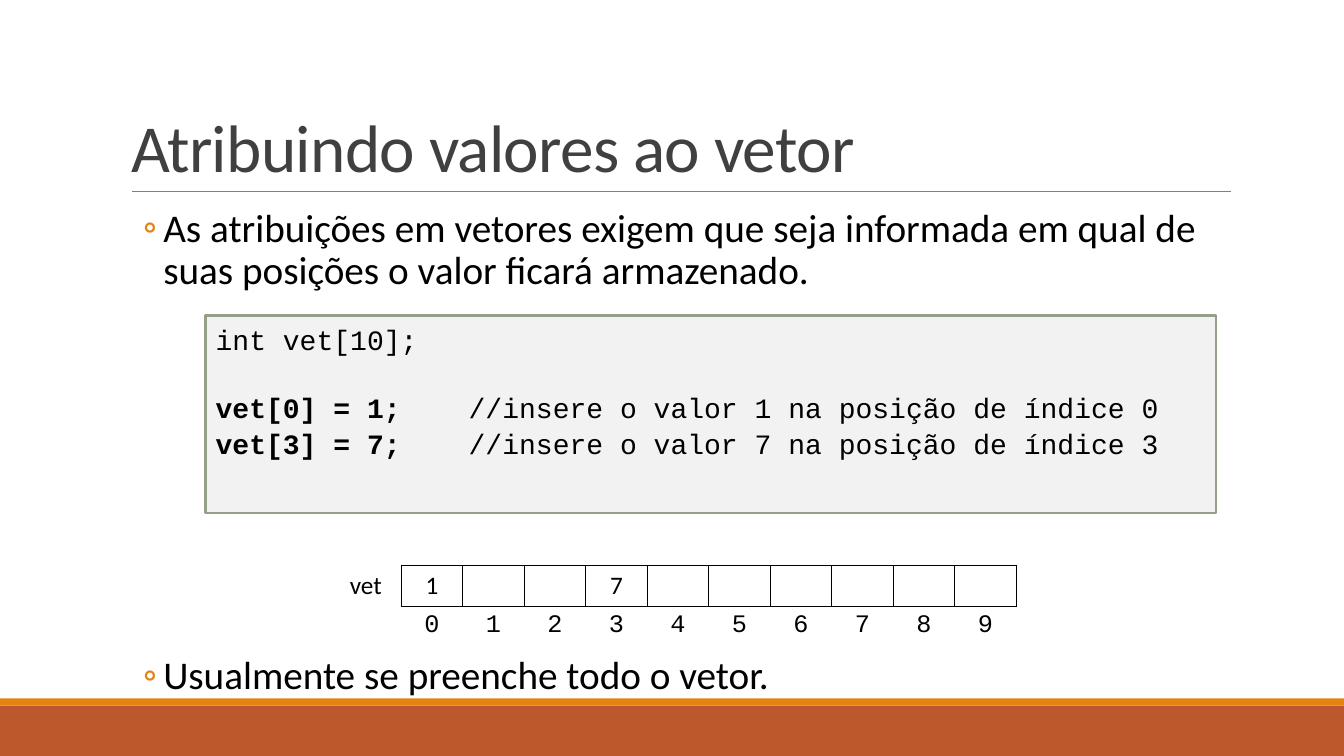
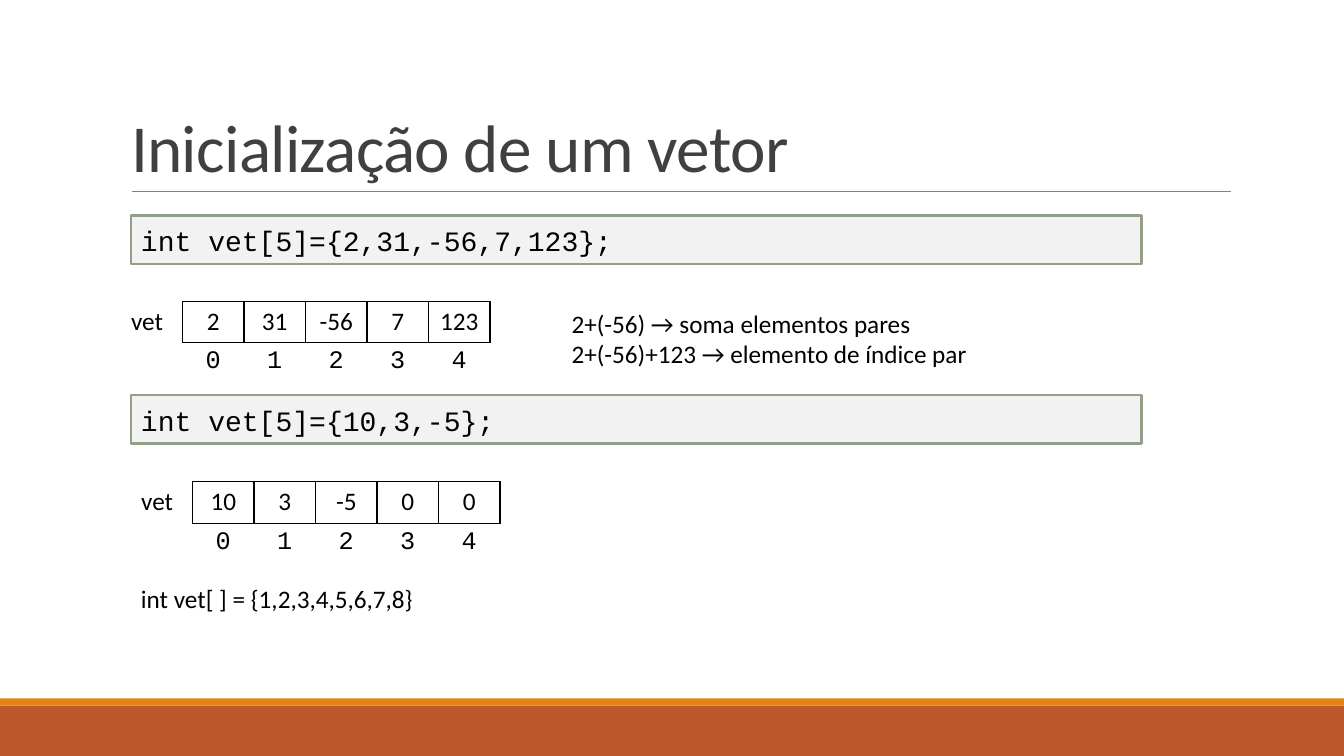
from pptx import Presentation
from pptx.dml.color import RGBColor
from pptx.enum import shapes, text
from pptx.oxml import parse_xml
from pptx.oxml.ns import nsdecls, qn
from pptx.util import Inches, Pt
from lxml import etree

BLACK = RGBColor(0, 0, 0)
GRAY = RGBColor(0x40, 0x40, 0x40)
RULE = RGBColor(0x80, 0x80, 0x80)
RUST = RGBColor(0xBD, 0x58, 0x2C)
ORANGE = RGBColor(0xE4, 0x83, 0x12)
PALE = RGBColor(0xF2, 0xF2, 0xF2)
SAGE = RGBColor(0x94, 0xA0, 0x88)
SANS, MONO = "Calibri", "Courier New"
NO_GRID = "{2D5ABB26-0587-4C30-8999-92F81FD0307C}"
CELL_W, CELL_H = 0.61, 0.41
CODE_W, CODE_H = 10.02, 0.48
CODE_TAB = 2.51

# Content: (text, space before in points)
BULLETS = [
    ("As atribuições em vetores exigem que seja informada em qual de "
     "suas posições o valor ficará armazenado.", 2),
    ("Usualmente se preenche todo o vetor.", 255),
]
# Content: (bold part, plain part, space before in points)
ASSIGN = [
    ("", "int vet[10];", 0),
    ("vet[0] = 1;", "\t//insere o valor 1 na posição de índice 0", 24),
    ("vet[3] = 7;", "\t//insere o valor 7 na posição de índice 3", 0),
]
FILLED = ["1", "", "", "7", "", "", "", "", "", ""]
# Content: (code, code top, values, table left, table top)
INITS = [
    ("int vet[5]={2,31,-56,7,123};", 2.14,
     ["2", "31", "-56", "7", "123"], 1.2, 2.99),
    ("int vet[5]={10,3,-5};", 3.92,
     ["10", "3", "-5", "0", "0"], 1.3, 4.78),
]
# Content: (lines, left, top, width, height)
NOTES = [
    (["int vet[ ] = {1,2,3,4,5,6,7,8}"], 1.3, 5.74, 5.66, 0.4),
    (["2+(-56) → soma elementos pares",
      "2+(-56)+123 → elemento de índice par"], 5.57, 3.01, 5.32, 0.71),
]


def style(para, size, face=SANS, color=BLACK):
    """Set the font of a paragraph."""
    font = para.font
    font.size, font.name, font.color.rgb = Pt(size), face, color


def add_rect(slide, left, top, width, height, fill):
    """Add a flat rectangle without an outline."""
    rect = slide.shapes.add_shape(
        shapes.MSO_SHAPE.RECTANGLE, Inches(left), Inches(top),
        Inches(width), Inches(height))
    rect.shadow.inherit = False
    rect.fill.solid()
    rect.fill.fore_color.rgb = fill
    rect.line.fill.background()
    return rect


def add_slide(deck, name):
    """Add a slide with the shared bands, rule and title."""
    slide = deck.slides.add_slide(deck.slide_layouts[5])
    add_rect(slide, 0, 7, 13.33, 0.5, RUST)
    add_rect(slide, 0, 6.93, 13.33, 0.07, ORANGE)
    rule = slide.shapes.add_connector(
        shapes.MSO_CONNECTOR.STRAIGHT, Inches(1.31), Inches(1.9),
        Inches(12.21), Inches(1.9))
    rule.line.color.rgb, rule.line.width = RULE, Pt(0.5)
    etree.SubElement(rule._element.spPr, qn("a:effectLst"))

    title = slide.shapes.title
    title.left, title.top = Inches(1.2), Inches(0.31)
    title.width, title.height = Inches(11), Inches(1.59)
    frame = title.text_frame
    frame.text = name
    frame.auto_size = text.MSO_AUTO_SIZE.NONE
    frame.vertical_anchor = text.MSO_ANCHOR.BOTTOM
    para = frame.paragraphs[0]
    para.alignment = text.PP_ALIGN.LEFT
    para.line_spacing = 0.85
    style(para, 48, color=GRAY)
    para.runs[0].font._element.set("spc", "-50")
    return slide


def add_paras(frame, count):
    """Return the given number of paragraphs of an empty frame."""
    for _ in range(count - 1):
        frame.add_paragraph()
    return frame.paragraphs


def add_text(slide, left, top, width, height):
    """Add a wrapping text box and return its frame."""
    box = slide.shapes.add_textbox(
        Inches(left), Inches(top), Inches(width), Inches(height))
    box.text_frame.word_wrap = True
    return box.text_frame


def add_list(slide, items):
    """Add the bulleted body text."""
    frame = add_text(slide, 1.2, 2.02, 11, 5.17)
    frame.margin_left = frame.margin_right = 0
    for para, (line, gap) in zip(add_paras(frame, len(items)), items):
        para.text = line
        style(para, 28)
        para.line_spacing = 0.9
        para.space_before, para.space_after = Pt(gap), Pt(4)
        props = para._p.get_or_add_pPr()
        props.set("marL", str(Inches(0.42)))
        props.set("indent", str(Inches(-0.2)))
        marks = (f'<a:buClr {nsdecls("a")}><a:srgbClr val="{ORANGE}"/></a:buClr>',
                 f'<a:buFont {nsdecls("a")} typeface="{SANS}"/>',
                 f'<a:buChar {nsdecls("a")} char="◦"/>')
        spot = props.index(props.find(qn("a:spcAft"))) + 1
        for step, mark in enumerate(marks):
            props.insert(spot + step, parse_xml(mark))


def add_code(slide, lines, left, top, height, anchor):
    """Add a framed code box; comments line up at one tab stop."""
    box = add_rect(slide, left, top, CODE_W, height, PALE)
    box.line.color.rgb, box.line.width = SAGE, Pt(1.75)
    frame = box.text_frame
    frame.word_wrap, frame.vertical_anchor = True, anchor
    for para, (bold, plain, gap) in zip(add_paras(frame, len(lines)), lines):
        para.alignment = text.PP_ALIGN.LEFT
        para.line_spacing, para.space_before = 1.05, Pt(gap)
        style(para, 20, MONO)
        if bold:
            run = para.add_run()
            run.text, run.font.bold = bold, True
            tabs = parse_xml(
                f'<a:tabLst {nsdecls("a")}>'
                f'<a:tab pos="{Inches(CODE_TAB)}" algn="l"/></a:tabLst>')
            para._p.pPr.find(qn("a:defRPr")).addprevious(tabs)
        para.add_run().text = plain


def frame_cell(cell):
    """Draw a thin black border round a cell."""
    props = cell._tc.get_or_add_tcPr()
    for spot, side in enumerate("LRTB"):
        props.insert(spot, parse_xml(
            f'<a:ln{side} {nsdecls("a")} w="{Pt(1)}"><a:solidFill>'
            f'<a:srgbClr val="{BLACK}"/></a:solidFill></a:ln{side}>'))


def add_array(slide, values, left, top):
    """Add a table of array values above their indices."""
    cols = len(values) + 1
    table = slide.shapes.add_table(
        2, cols, Inches(left), Inches(top),
        Inches(CELL_W * cols), Inches(CELL_H * 2)).table
    table.first_row = table.horz_banding = False
    table._tbl.tblPr.find(qn("a:tableStyleId")).text = NO_GRID
    for col in table.columns:
        col.width = Inches(CELL_W)
    rows = [["vet", *values], ["", *map(str, range(len(values)))]]
    for r, row in enumerate(rows):
        table.rows[r].height = Inches(CELL_H)
        for c, value in enumerate(row):
            cell = table.cell(r, c)
            cell.fill.background()
            cell.text = value
            para = cell.text_frame.paragraphs[0]
            style(para, 18, MONO if r else SANS)
            if c:
                para.alignment = text.PP_ALIGN.CENTER
                if r == 0:
                    frame_cell(cell)


def add_note(slide, lines, *place):
    """Add a plain text note."""
    frame = add_text(slide, *place)
    for para, line in zip(add_paras(frame, len(lines)), lines):
        para.text = line
        style(para, 18)


deck = Presentation()
deck.slide_width, deck.slide_height = Inches(13.33), Inches(7.5)

slide = add_slide(deck, "Atribuindo valores ao vetor")
add_list(slide, BULLETS)
add_code(slide, ASSIGN, 2.04, 3.13, 1.96, text.MSO_ANCHOR.TOP)
add_array(slide, FILLED, 3.37, 5.61)

slide = add_slide(deck, "Inicialização de um vetor")
for code, code_top, values, left, top in INITS:
    add_code(slide, [("", code, 0)], 1.3, code_top, CODE_H,
             text.MSO_ANCHOR.MIDDLE)
    add_array(slide, values, left, top)
for note in NOTES:
    add_note(slide, *note)

deck.save("out.pptx")
